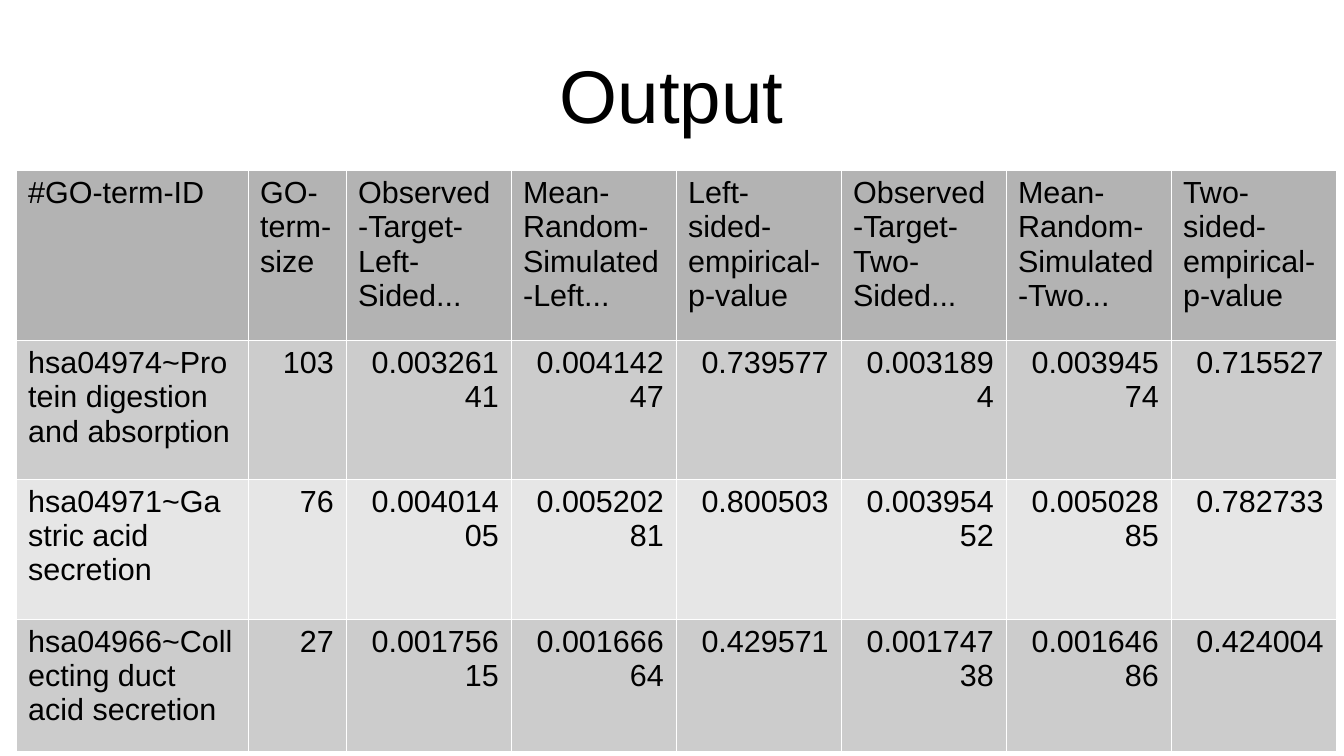
from pptx import Presentation
from pptx.dml.color import RGBColor
from pptx.enum.text import MSO_ANCHOR, PP_ALIGN
from pptx.oxml import parse_xml
from pptx.oxml.ns import nsdecls
from pptx.util import Pt

PIXEL = 914400 / 122  # EMU per px
LEFT, CENTER, RIGHT = PP_ALIGN.LEFT, PP_ALIGN.CENTER, PP_ALIGN.RIGHT
MIDDLE = MSO_ANCHOR.MIDDLE
BLANK_LAYOUT = 6
FONT = "Arial"
COLORS = {
    "text": "000000",
    "header": "B3B3B3",
    "odd_row": "CCCCCC",
    "even_row": "E6E6E6",
    "border": "FFFFFF",
}
BORDER_WIDTH = Pt(0.06)

COLUMN_WIDTHS = [232, 98] + [165] * 6
ROW_HEIGHTS = [170, 139, 140, 132]
HEADER = [
    "#GO-term-ID", "GO-term-size",
    "Observed-Target-Left-Sided...", "Mean-Random-Simulated-Left...",
    "Left-sided-empirical-p-value",
    "Observed-Target-Two-Sided...", "Mean-Random-Simulated-Two...",
    "Two-sided-empirical-p-value",
]
RESULTS = [
    ["hsa04974~Protein digestion and absorption", "103", "0.00326141", "0.00414247",
     "0.739577", "0.0031894", "0.00394574", "0.715527"],
    ["hsa04971~Gastric acid secretion", "76", "0.00401405", "0.00520281",
     "0.800503", "0.00395452", "0.00502885", "0.782733"],
    ["hsa04966~Collecting duct acid secretion", "27", "0.00175615", "0.00166664",
     "0.429571", "0.00174738", "0.00164686", "0.424004"],
]


def px(length):
    return round(length * PIXEL)


def add_text(text_frame, text, size, alignment):
    paragraph = text_frame.paragraphs[0]
    paragraph.alignment = alignment
    run = paragraph.add_run()
    run.text = text
    run.font.name = FONT
    run.font.size = Pt(size)
    run.font.color.rgb = RGBColor.from_string(COLORS["text"])


def add_title(slide, text, left, top, width, height):
    shape = slide.shapes.add_textbox(px(left), px(top), px(width), px(height))
    text_frame = shape.text_frame
    text_frame.word_wrap = True
    text_frame.vertical_anchor = MIDDLE
    text_frame.margin_left = text_frame.margin_right = 0
    text_frame.margin_top = text_frame.margin_bottom = 0
    add_text(text_frame, text, 44, CENTER)


def set_borders(cell):
    properties = cell._tc.get_or_add_tcPr()
    for position, side in enumerate(("lnL", "lnR", "lnT", "lnB")):
        line = parse_xml(
            f'<a:{side} {nsdecls("a")} w="{BORDER_WIDTH}"><a:solidFill>'
            f'<a:srgbClr val="{COLORS["border"]}"/></a:solidFill></a:{side}>')
        properties.insert(position, line)


def fill_cell(cell, text, color, alignment):
    cell.fill.solid()
    cell.fill.fore_color.rgb = RGBColor.from_string(COLORS[color])
    set_borders(cell)
    add_text(cell.text_frame, text, 18, alignment)


def add_results_table(slide, left, top):
    rows = [HEADER] + RESULTS
    table = slide.shapes.add_table(
        len(rows), len(HEADER), px(left), px(top),
        px(sum(COLUMN_WIDTHS)), px(sum(ROW_HEIGHTS))).table
    for column, width in zip(table.columns, COLUMN_WIDTHS):
        column.width = px(width)
    for row, height in zip(table.rows, ROW_HEIGHTS):
        row.height = px(height)
    for row_index, values in enumerate(rows):
        # Header first, then alternating bands
        if row_index == 0:
            color = "header"
        else:
            color = "odd_row" if row_index % 2 else "even_row"
        for column_index, text in enumerate(values):
            # Numbers are right-aligned, labels left-aligned
            alignment = RIGHT if row_index and column_index else LEFT
            fill_cell(table.cell(row_index, column_index), text, color, alignment)


def main():
    presentation = Presentation()
    presentation.slide_width = px(1344)
    presentation.slide_height = px(756)
    slide = presentation.slides.add_slide(presentation.slide_layouts[BLANK_LAYOUT])

    # Title
    add_title(slide, "Output", 67, 30, 1210, 127)

    # Table of empirical p-values
    add_results_table(slide, 16, 170)

    presentation.save("out.pptx")


if __name__ == "__main__":
    main()
